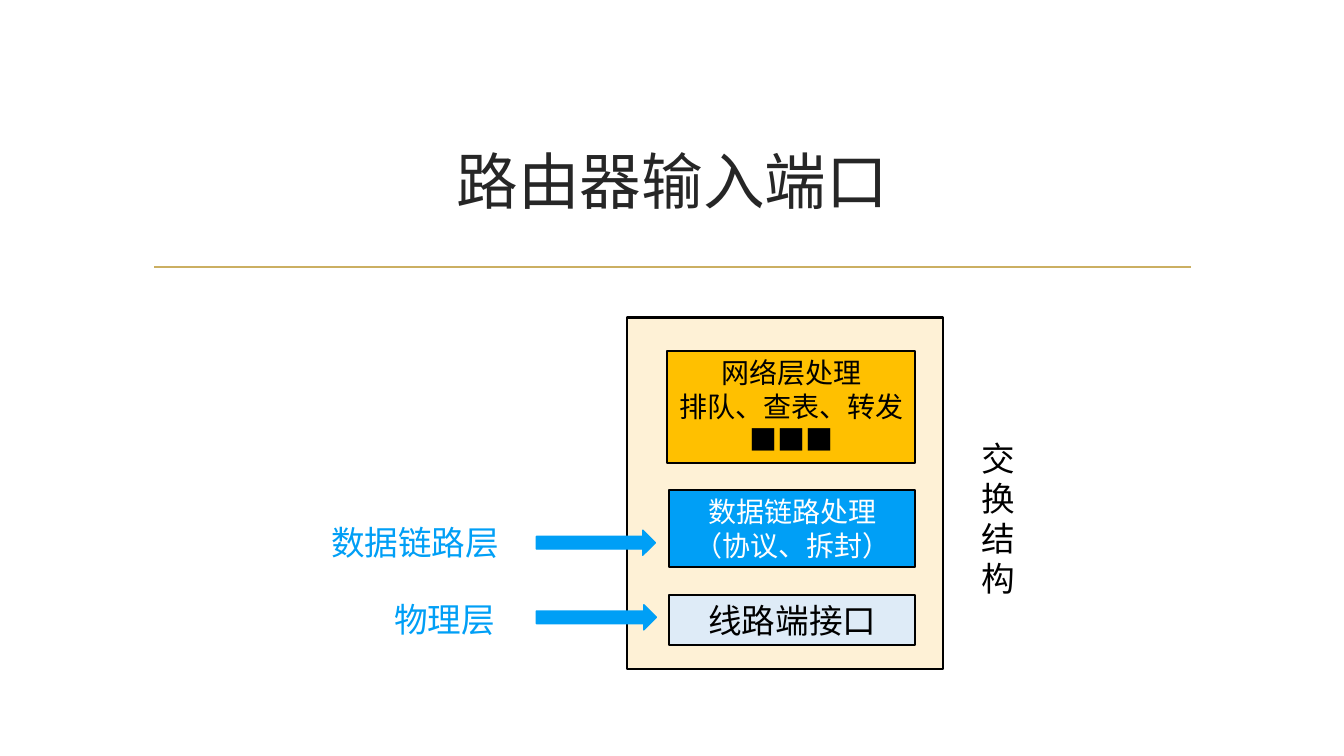
"""Draw the slide on the input port of a router."""
from dataclasses import dataclass

from lxml.etree import SubElement
from pptx import Presentation
from pptx.dml.color import RGBColor
from pptx.enum.shapes import MSO_CONNECTOR as Connector
from pptx.enum.shapes import MSO_SHAPE as Preset
from pptx.enum.text import MSO_ANCHOR as Anchor
from pptx.enum.text import MSO_AUTO_SIZE as AutoSize
from pptx.enum.text import PP_ALIGN as Align
from pptx.oxml.ns import qn
from pptx.slide import Slide
from pptx.text.text import TextFrame
from pptx.util import Inches, Pt


@dataclass(frozen=True)
class Theme:
    black: str = "000000"
    white: str = "FFFFFF"
    title: str = "262626"
    rule: str = "CBAF62"
    blue: str = "009FF6"
    frame: str = "FEF1D6"
    pale: str = "DEEBF7"
    amber: str = "FFC000"
    sans: str = "Noto Sans CJK SC"
    serif: str = "Times New Roman"
    title_size: int = 44
    label_size: int = 24
    stage_size: int = 20
    border: float = 1.5
    rule_width: float = 1.25
    arrow_width: float = 1


@dataclass(frozen=True)
class Area:
    """A rectangle in percent of the slide's width and height."""
    left: float
    top: float
    width: float
    height: float

    def place(self) -> tuple[int, int, int, int]:
        return (across(self.left), down(self.top),
                across(self.width), down(self.height))


@dataclass(frozen=True)
class Style:
    size: int
    color: str
    font: str
    align: Align = Align.CENTER


@dataclass(frozen=True)
class Block:
    area: Area
    fill: str
    lines: tuple[str, ...] = ()
    style: Style | None = None


@dataclass(frozen=True)
class Label:
    area: Area
    text: str
    style: Style
    wrap: bool


THEME = Theme()
WIDTH, HEIGHT = Inches(13.33), Inches(7.5)
TITLE = Style(THEME.title_size, THEME.title, THEME.sans)
STAGE = Style(THEME.stage_size, THEME.black, THEME.sans)
LINK_STAGE = Style(THEME.stage_size, THEME.white, THEME.sans)
LINE_STAGE = Style(THEME.label_size, THEME.black, THEME.sans)
FABRIC = Style(THEME.label_size, THEME.black, THEME.sans, Align.LEFT)
LAYER = Style(THEME.label_size, THEME.blue, THEME.serif, Align.RIGHT)

TITLE_AREA = Area(10.65, 14.27, 78.77, 19.07)
RULE = Area(11.48, 35.33, 77.12, 0)
BLOCKS = (
    Block(Area(46.66, 42, 23.48, 46.53), THEME.frame),
    Block(Area(49.66, 46.4, 18.45, 14.8), THEME.amber,
          ("网络层处理", "排队、查表、转发", "■■■"), STAGE),
    Block(Area(49.81, 64.8, 18.3, 10.27), THEME.blue,
          ("数据链路处理", "（协议、拆封）"), LINK_STAGE),
    Block(Area(49.81, 78.67, 18.3, 6.67), THEME.pale, ("线路端接口",), LINE_STAGE),
)
LABELS = (
    Label(Area(72.32, 57.2, 3.68, 22.8), "交换结构", FABRIC, True),
    Label(Area(23.78, 68.4, 14.1, 6.67), "数据链路层", LAYER, False),
    Label(Area(28.51, 78.53, 9.08, 6.67), "物理层", LAYER, False),
)
ARROWS = (Area(39.91, 70.13, 8.85, 3.33), Area(39.91, 80, 8.93, 3.33))


def across(percent: float) -> int:
    return round(WIDTH * percent / 100)


def down(percent: float) -> int:
    return round(HEIGHT * percent / 100)


def write(frame: TextFrame, lines: tuple[str, ...], style: Style,
          anchor: Anchor = Anchor.TOP, wrap: bool = True) -> None:
    frame.auto_size = AutoSize.NONE
    frame.word_wrap = wrap
    frame.vertical_anchor = anchor
    for index, line in enumerate(lines):
        para = frame.add_paragraph() if index else frame.paragraphs[0]
        para.alignment = style.align
        span = para.add_run()
        span.text = line
        span.font.size = Pt(style.size)
        span.font.name = style.font
        span.font.color.rgb = RGBColor.from_string(style.color)
        east_asian = SubElement(span.font._element, qn("a:ea"))
        east_asian.set("typeface", THEME.sans)


def draw_shape(page: Slide, preset: Preset, area: Area, fill: str,
               line: str, width: float) -> TextFrame:
    shape = page.shapes.add_shape(preset, *area.place())
    shape.shadow.inherit = False
    shape.fill.solid()
    shape.fill.fore_color.rgb = RGBColor.from_string(fill)
    shape.line.color.rgb = RGBColor.from_string(line)
    shape.line.width = Pt(width)
    return shape.text_frame


def draw_title(page: Slide) -> None:
    title = page.shapes.title
    title.left, title.top, title.width, title.height = TITLE_AREA.place()
    write(title.text_frame, ("路由器输入端口",), TITLE, Anchor.MIDDLE)


def draw_rule(page: Slide) -> None:
    left, top, width, height = RULE.place()
    rule = page.shapes.add_connector(
        Connector.STRAIGHT, left, top, left + width, top + height)
    rule.line.color.rgb = RGBColor.from_string(THEME.rule)
    rule.line.width = Pt(THEME.rule_width)
    SubElement(rule._element.spPr, qn("a:effectLst"))


def draw_block(page: Slide, block: Block) -> None:
    frame = draw_shape(page, Preset.RECTANGLE, block.area, block.fill,
                       THEME.black, THEME.border)
    if block.style:
        write(frame, block.lines, block.style)


def draw_label(page: Slide, label: Label) -> None:
    box = page.shapes.add_textbox(*label.area.place())
    write(box.text_frame, (label.text,), label.style, wrap=label.wrap)


def main() -> None:
    deck = Presentation()
    deck.slide_width, deck.slide_height = WIDTH, HEIGHT
    page = deck.slides.add_slide(deck.slide_layouts.get_by_name("Title Only"))
    draw_rule(page)
    draw_title(page)
    for block in BLOCKS:
        draw_block(page, block)
    for label in LABELS:
        draw_label(page, label)
    for area in ARROWS:
        draw_shape(page, Preset.RIGHT_ARROW, area, THEME.blue,
                   THEME.blue, THEME.arrow_width)
    deck.save("out.pptx")


if __name__ == "__main__":
    main()
